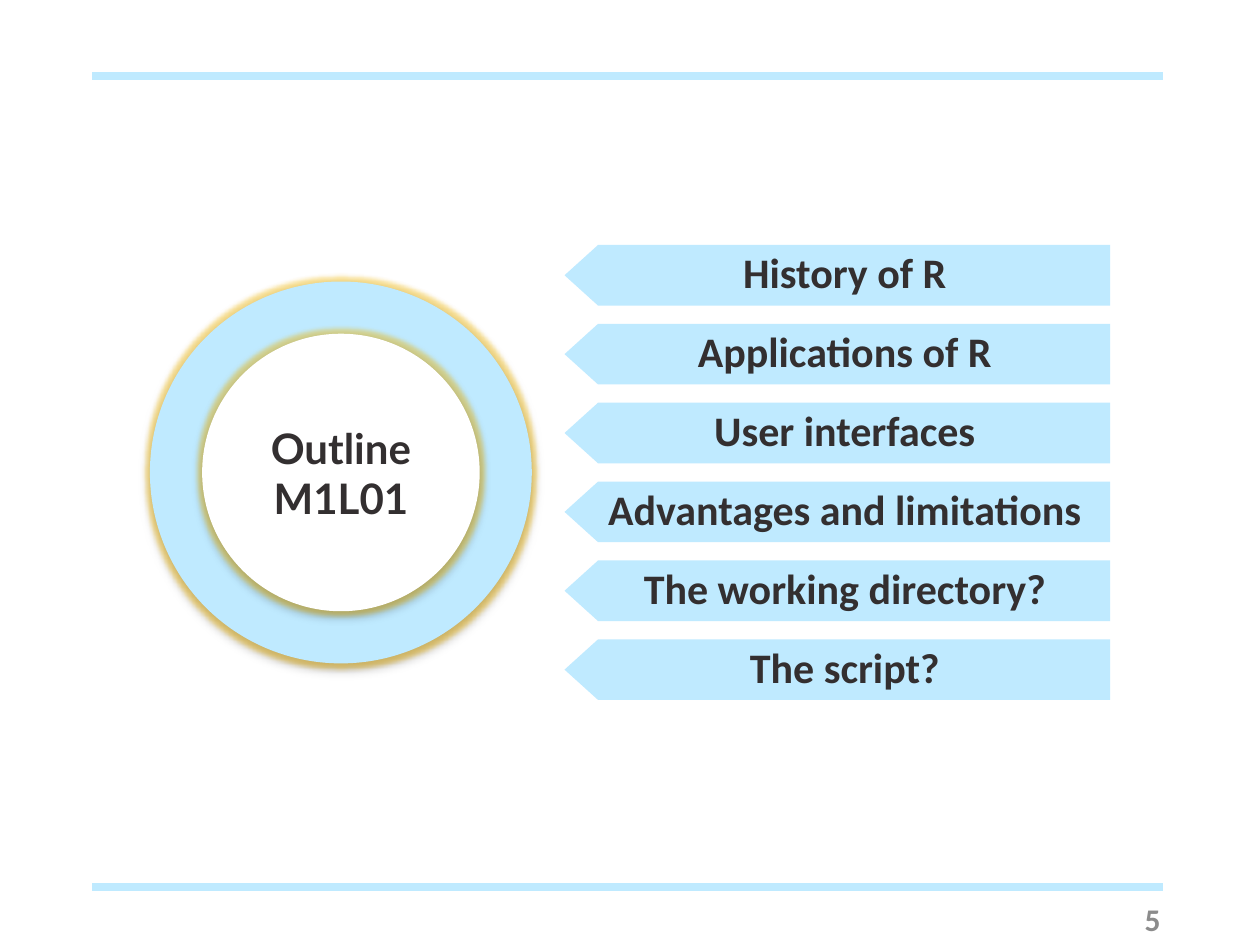
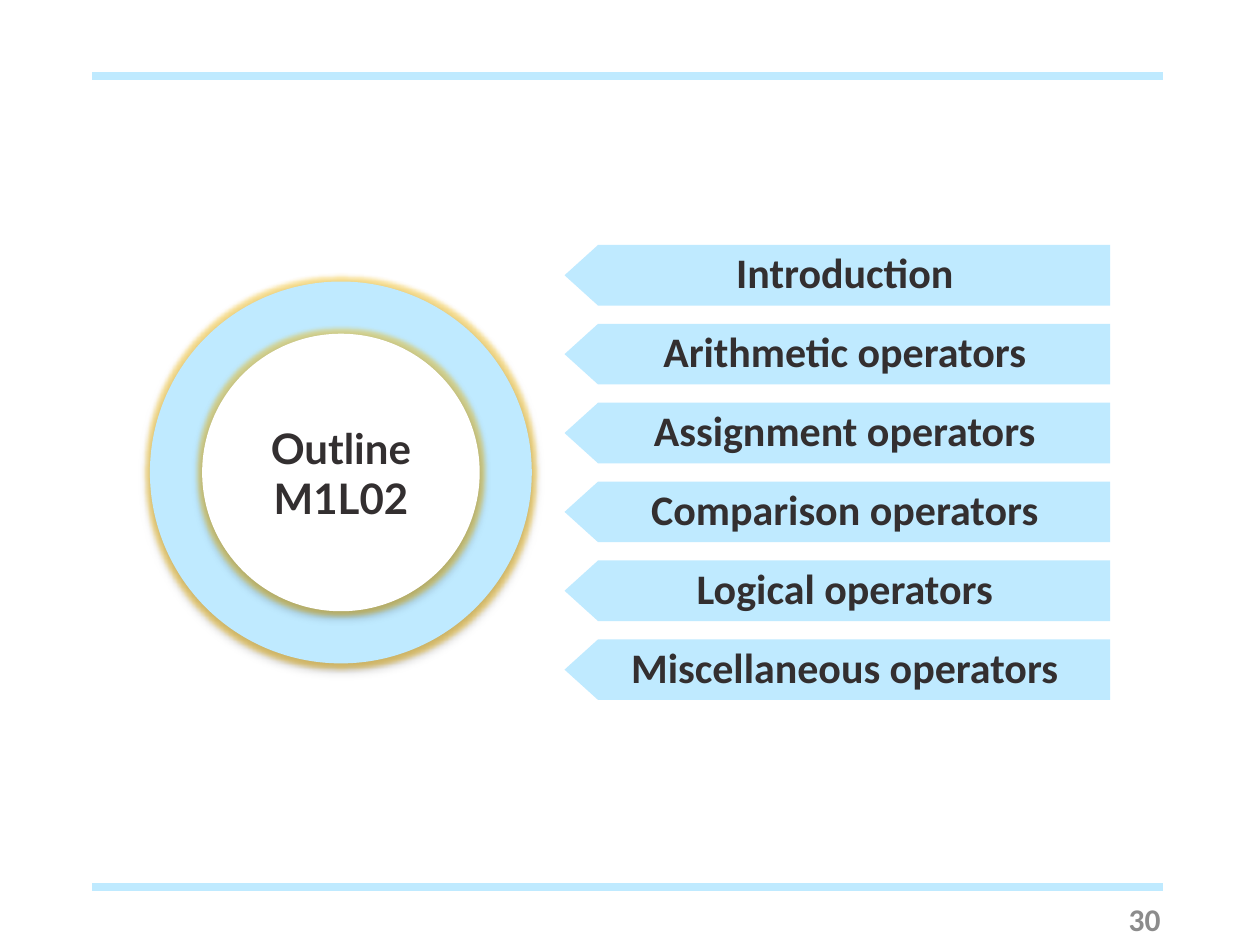
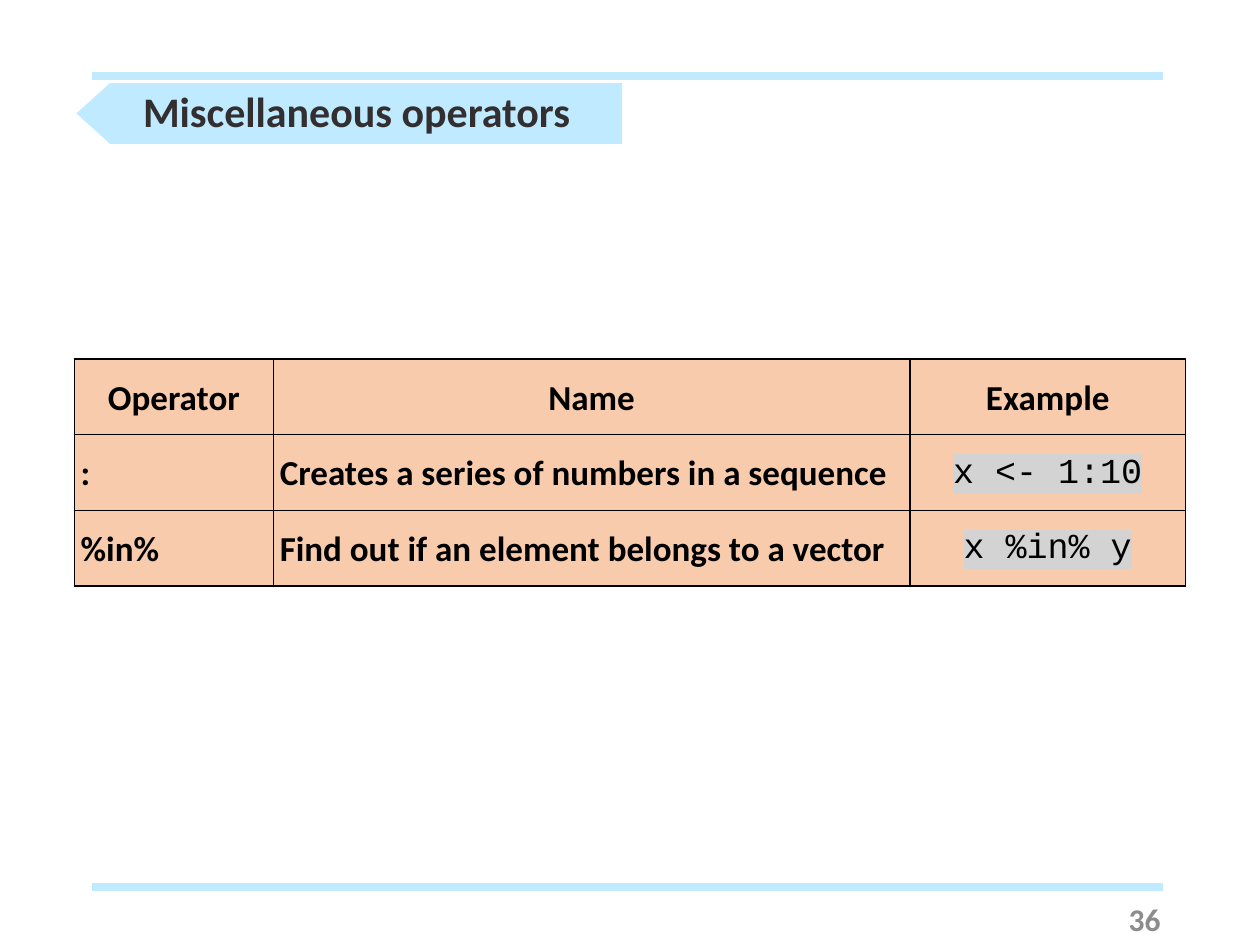
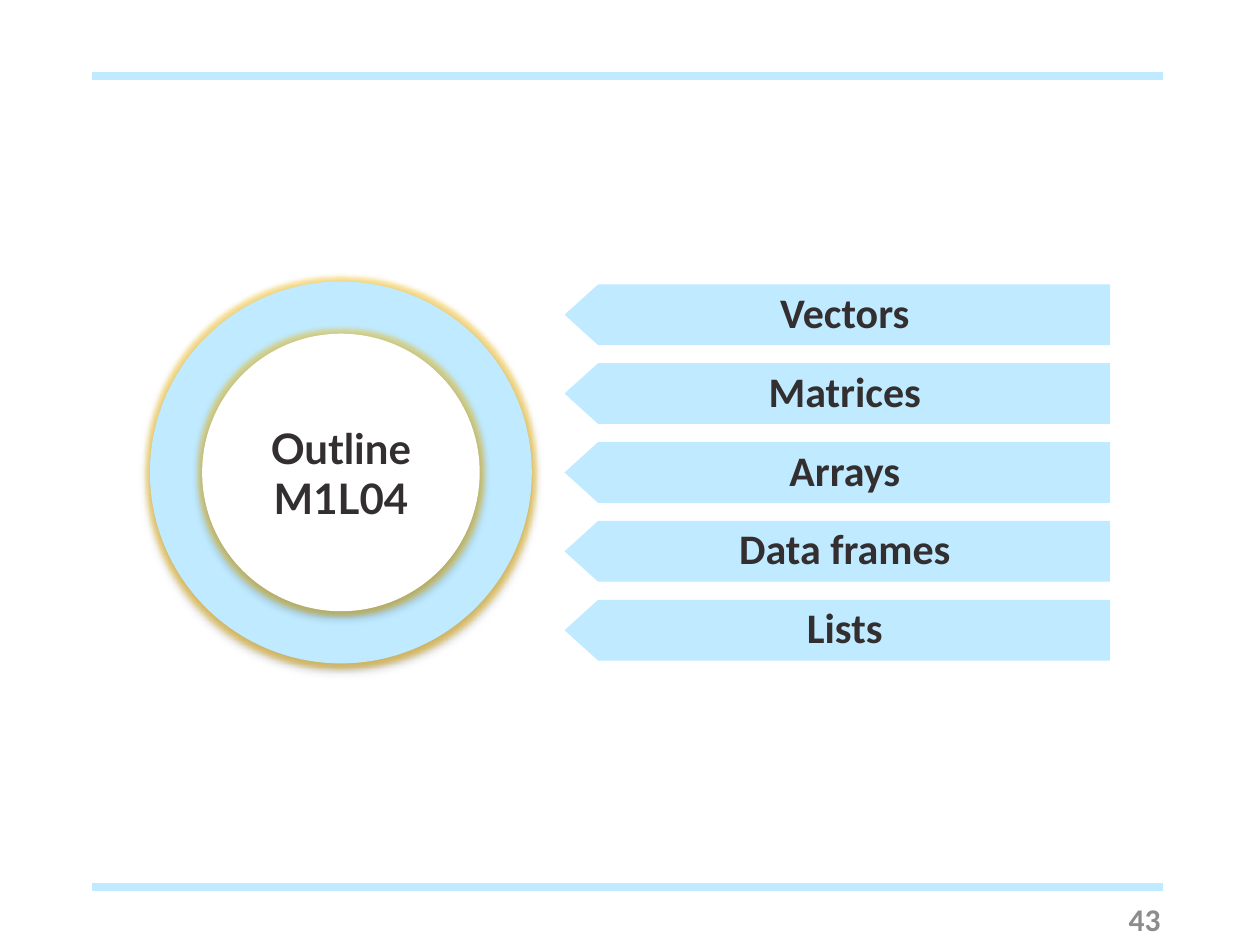
from pptx import Presentation
from pptx.dml.color import RGBColor
from pptx.enum.shapes import MSO_CONNECTOR as CONNECTOR, MSO_SHAPE as SHAPE
from pptx.enum.text import MSO_ANCHOR as ANCHOR, PP_ALIGN as ALIGN
from pptx.oxml import parse_xml
from pptx.oxml.ns import nsdecls, qn
from pptx.util import Pt

# Colours
SKY = RGBColor(0xBF, 0xEA, 0xFF)
INK = RGBColor(0x33, 0x2F, 0x30)
GREY = RGBColor(0x8C, 0x8C, 0x8C)
PEACH = RGBColor(0xF8, 0xCB, 0xAD)
BLACK = RGBColor(0, 0, 0)
WHITE = RGBColor(0xFF, 0xFF, 0xFF)
CODE_GREY = RGBColor(0xD3, 0xD3, 0xD3)
GOLD = RGBColor(0xFF, 0xC0, 0x00)

# Text styles
RIBBON_TEXT = {"name": "Calibri", "size": Pt(24), "bold": True, "color": INK}
RING_TEXT = {**RIBBON_TEXT, "name": "Lato"}
NUMBER_TEXT = {"name": "Calibri", "size": Pt(18), "bold": True, "color": GREY}
CELL_TEXT = {"name": "Calibri", "size": Pt(20), "bold": True, "color": BLACK}
CODE_TEXT = {**CELL_TEXT, "name": "Courier New", "bold": False}

# Ribbon and ring geometry, in points
RIBBON_WIDTH, RIBBON_HEIGHT, RIBBON_TIP, RIBBON_PITCH = 311.8, 34.7, 19.2, 45.07
RIBBON_INSETS = {"margin_left": Pt(16.5), "margin_right": Pt(8),
                 "margin_top": Pt(4.3), "margin_bottom": Pt(4.3),
                 "word_wrap": True, "vertical_anchor": ANCHOR.MIDDLE}
RING_X, MIDDLE_Y = 194.8, 270
RINGS = [(218.2, SKY), (158.6, WHITE)]
RING_EFFECTS = (
    f'<a:glow {nsdecls("a")} rad="{Pt(5)}"><a:srgbClr val="{GOLD}">'
    '<a:alpha val="40000"/></a:srgbClr></a:glow>',
    f'<a:outerShdw {nsdecls("a")} blurRad="{Pt(3.5)}" dist="{Pt(2.2)}" dir="5400000" '
    f'rotWithShape="0"><a:srgbClr val="{BLACK}"><a:alpha val="32000"/></a:srgbClr></a:outerShdw>',
)

PAGES = [
    {"number": "5", "lesson": "M1L01",
     "topics": ["History of R", "Applications of R", "User interfaces",
                "Advantages and limitations", "The working directory?", "The script?"]},
    {"number": "30", "lesson": "M1L02",
     "topics": ["Introduction", "Arithmetic operators", "Assignment operators",
                "Comparison operators", "Logical operators", "Miscellaneous operators"]},
    {"number": "36", "title": "Miscellaneous operators",
     "table": [["Operator", "Name", "Example"],
               [":", "Creates a series of numbers in a sequence", "x <- 1:10"],
               ["%in%", "Find out if an element belongs to a vector", "x %in% y"]]},
    {"number": "43", "lesson": "M1L04",
     "topics": ["Vectors", "Matrices", "Arrays", "Data frames", "Lists"]},
]
COLUMN_WIDTHS = [113.8, 363.6, 157.7]
ROW_HEIGHT = 43.2


def write(para, text, style, align=ALIGN.CENTER):
    para.alignment = align
    span = para.add_run()
    span.text = text
    for key, value in style.items():
        if key == "color":
            span.font.color.rgb = value
        else:
            setattr(span.font, key, value)
    return span


def add_ribbon(page, left, top, text):
    right, bottom = left + RIBBON_WIDTH, top + RIBBON_HEIGHT
    shoulder = left + RIBBON_TIP
    outline = page.shapes.build_freeform(Pt(right), Pt(bottom))
    corners = [(shoulder, bottom), (left, top + RIBBON_HEIGHT / 2), (shoulder, top), (right, top)]
    outline.add_line_segments([(Pt(x), Pt(y)) for x, y in corners], close=True)
    ribbon = outline.convert_to_shape()
    ribbon.shadow.inherit = False
    ribbon.fill.solid()
    ribbon.fill.fore_color.rgb = SKY
    ribbon.line.fill.background()
    for key, value in RIBBON_INSETS.items():
        setattr(ribbon.text_frame, key, value)
    para = ribbon.text_frame.paragraphs[0]
    para.line_spacing = 0.9
    para.space_after = Pt(8.4)
    write(para, text, RIBBON_TEXT)


deck = Presentation()
deck.slide_width, deck.slide_height = Pt(720), Pt(540)

for content in PAGES:
    page = deck.slides.add_slide(deck.slide_layouts[6])

    # Rules at top and bottom
    for y in (43.2, 506.9):
        rule = page.shapes.add_connector(CONNECTOR.STRAIGHT, Pt(52.6), Pt(y), Pt(664.6), Pt(y))
        rule.line.color.rgb = SKY
        rule.line.width = Pt(4.5)
        rule.element.spPr.append(parse_xml(f'<a:effectLst {nsdecls("a")}/>'))

    # Page number
    box = page.shapes.add_textbox(Pt(508.3), Pt(510.5), Pt(162), Pt(28.8))
    box.text_frame.word_wrap = True
    box.text_frame.vertical_anchor = ANCHOR.MIDDLE
    write(box.text_frame.paragraphs[0], content["number"], NUMBER_TEXT, ALIGN.RIGHT)

    # Outline: ring with the lesson, ribbons centred beside it
    if "topics" in content:
        for diameter, colour in RINGS:
            ring = page.shapes.add_shape(
                SHAPE.OVAL, Pt(RING_X - diameter / 2), Pt(MIDDLE_Y - diameter / 2),
                Pt(diameter), Pt(diameter))
            ring.fill.solid()
            ring.fill.fore_color.rgb = colour
            ring.line.fill.background()
            ring.shadow.inherit = False
            effects = ring.element.spPr.find(qn("a:effectLst"))
            for effect in RING_EFFECTS:
                effects.append(parse_xml(effect))
        frame = ring.text_frame
        write(frame.paragraphs[0], "Outline", RING_TEXT)
        write(frame.add_paragraph(), content["lesson"], RING_TEXT)

        topics = content["topics"]
        block_height = (len(topics) - 1) * RIBBON_PITCH + RIBBON_HEIGHT
        for index, topic in enumerate(topics):
            add_ribbon(page, 322.6, MIDDLE_Y - block_height / 2 + index * RIBBON_PITCH, topic)

    # Operator table under a title ribbon
    if "table" in content:
        rows = content["table"]
        table = page.shapes.add_table(
            len(rows), len(COLUMN_WIDTHS), Pt(42.5), Pt(205.2),
            Pt(sum(COLUMN_WIDTHS)), Pt(ROW_HEIGHT * len(rows))).table
        table.horz_banding = False
        for column, width in zip(table.columns, COLUMN_WIDTHS):
            column.width = Pt(width)
        for row_index, row in enumerate(rows):
            table.rows[row_index].height = Pt(ROW_HEIGHT)
            for column_index, text in enumerate(row):
                cell = table.cell(row_index, column_index)
                cell.vertical_anchor = ANCHOR.MIDDLE
                cell.margin_left = cell.margin_right = Pt(3.6)
                cell.margin_top = cell.margin_bottom = 0
                properties = cell._tc.get_or_add_tcPr()
                for side in ("lnL", "lnR", "lnT", "lnB"):
                    properties.append(parse_xml(
                        f'<a:{side} {nsdecls("a")} w="{Pt(1)}"><a:solidFill>'
                        f'<a:srgbClr val="{BLACK}"/></a:solidFill></a:{side}>'))
                cell.fill.solid()
                cell.fill.fore_color.rgb = PEACH

                para = cell.text_frame.paragraphs[0]
                para.line_spacing = 1.07
                para.space_after = Pt(8)
                is_code = row_index > 0 and column_index == 2
                centred = row_index == 0 or is_code
                span = write(para, text, CODE_TEXT if is_code else CELL_TEXT,
                             ALIGN.CENTER if centred else ALIGN.LEFT)
                if is_code:
                    span.font._element.find(qn("a:solidFill")).addnext(parse_xml(
                        f'<a:highlight {nsdecls("a")}><a:srgbClr val="{CODE_GREY}"/></a:highlight>'))
        add_ribbon(page, 43.7, 47.5, content["title"])

deck.save("out.pptx")
